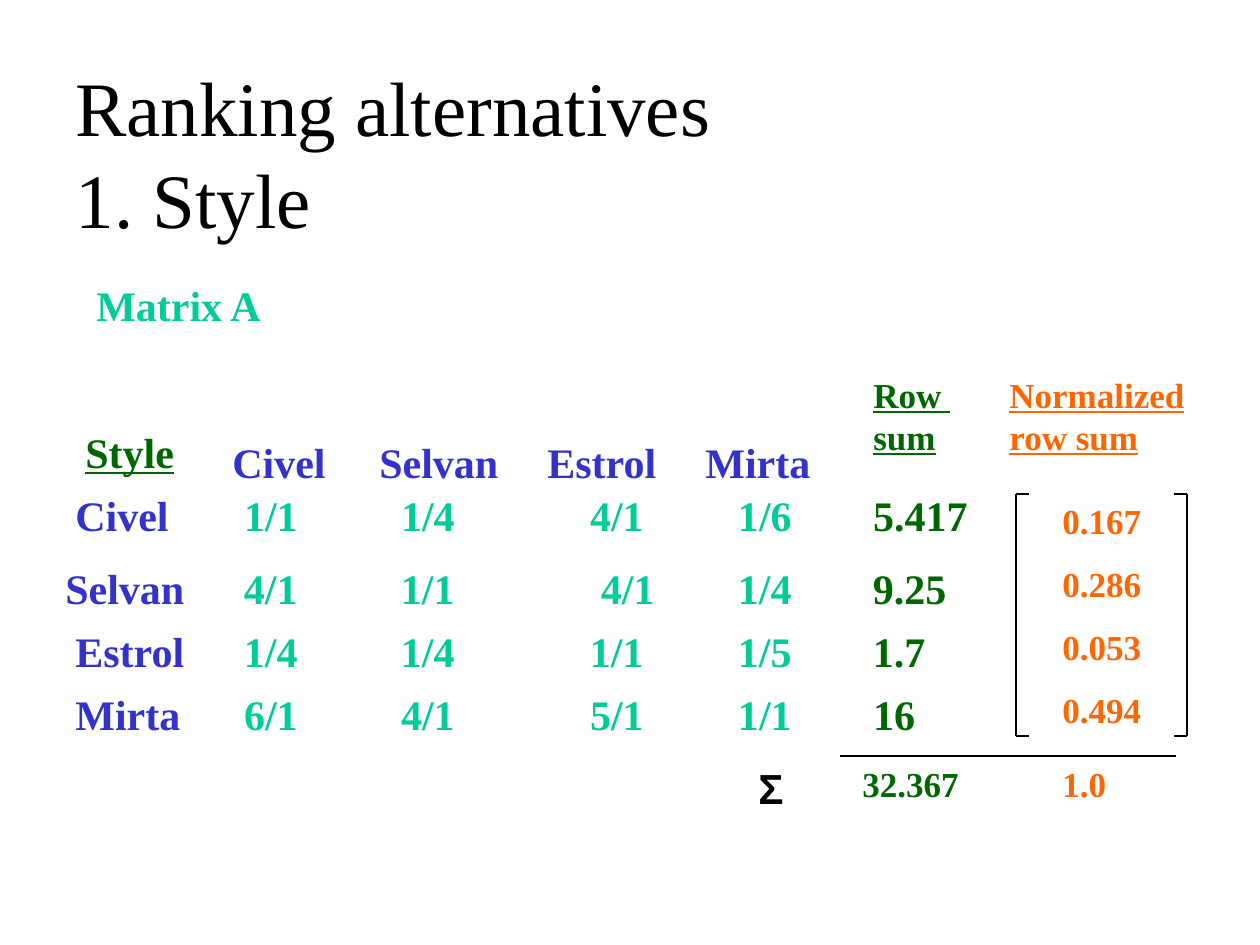
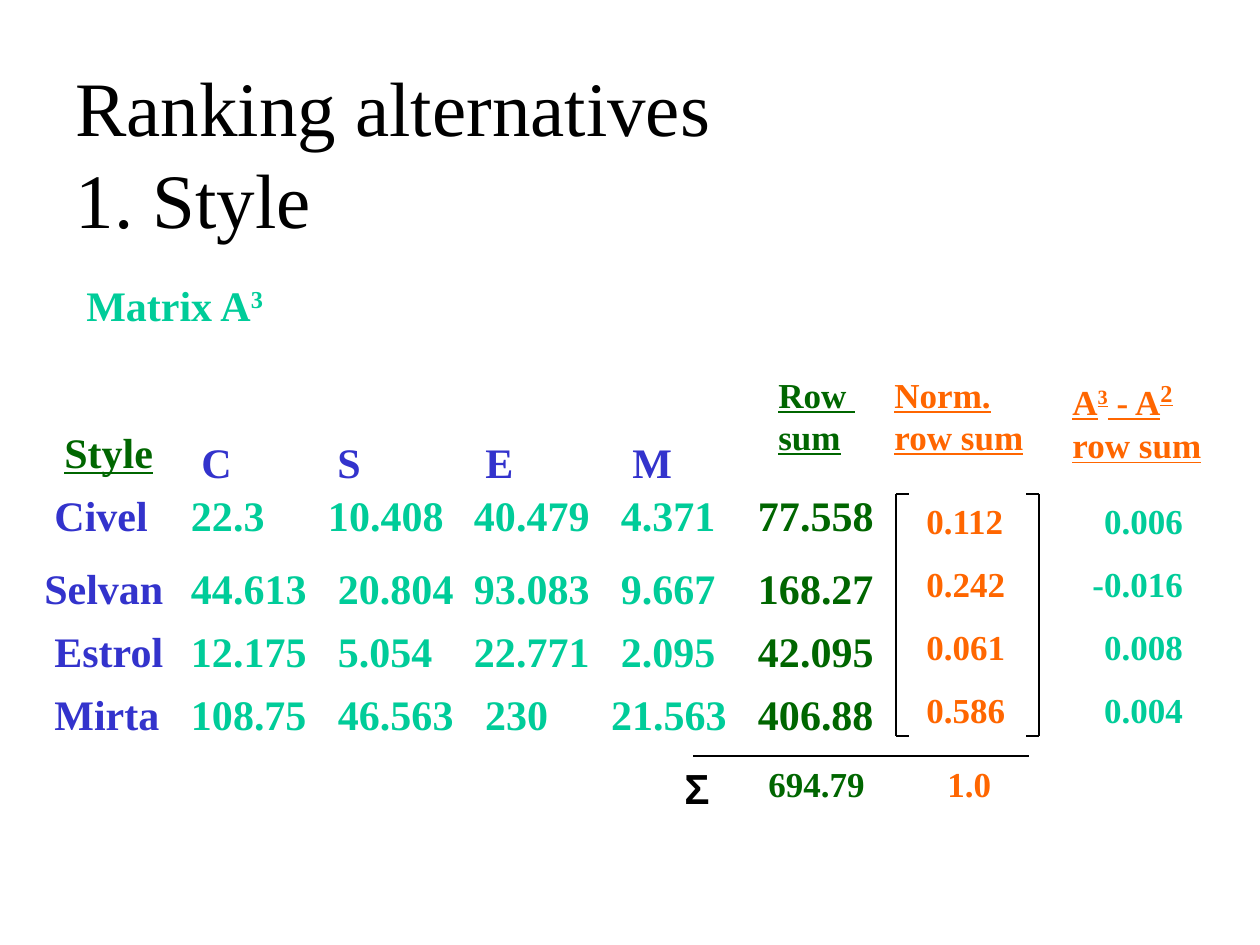
from dataclasses import dataclass

from lxml import etree
from pptx import Presentation
from pptx import util as u
from pptx.dml.color import RGBColor
from pptx.enum import shapes, text
from pptx.oxml.ns import qn

EMU_PER_PX = 914400 / 126


@dataclass(frozen=True)
class Theme:
    font: str = "Times New Roman"
    symbol_font: str = "Arial"
    black: str = "000000"
    green: str = "006600"
    blue: str = "3333CC"
    teal: str = "00CC99"
    orange: str = "FF6600"
    title: int = 44
    large: int = 24
    small: int = 20


THEME = Theme()

# Car names with the widths of their boxes
CARS = {"Civel": 118, "Selvan": 149, "Estrol": 141, "Mirta": 132}
ROW_TOPS = (483, 556, 619, 682)
ROW_WIDTHS = (788, 777, 756, 724)
HEADING_TOP = 367


def px(length):
    return u.Emu(round(length * EMU_PER_PX))


def style_run(run, color, size, bold=True, underline=False, font=THEME.font):
    run.font.name = font
    run.font.size = u.Pt(size)
    run.font.bold = bold
    run.font.underline = underline or None
    run.font.color.rgb = RGBColor.from_string(color)


def add_label(slide, box, lines, color, size=THEME.large, **style):
    """Add a text box; a part between ^ marks is set as superscript."""
    text_box = slide.shapes.add_textbox(*map(px, box))
    frame = text_box.text_frame
    frame.word_wrap = False
    frame.margin_right = 0  # room for tightly fitting words
    for index, line in enumerate(lines.split("\n")):
        paragraph = frame.paragraphs[0] if index == 0 else frame.add_paragraph()
        for position, part in enumerate(line.split("^")):
            if not part:
                continue
            run = paragraph.add_run()
            run.text = part
            style_run(run, color, size, **style)
            if position % 2:
                run.font._element.set("baseline", "30000")
    frame.auto_size = text.MSO_AUTO_SIZE.NONE
    frame.word_wrap = True
    return frame


def add_number_column(slide, left, width, values, color):
    frame = add_label(slide, (left, 493, width, 243), "\n".join(values),
                      color, THEME.small)
    for paragraph in frame.paragraphs[1:]:
        paragraph.line_spacing = 1.5
    return frame


def add_line(container, start, end):
    line = container.add_connector(
        shapes.MSO_CONNECTOR.STRAIGHT, *map(px, start + end))
    line.line.color.rgb = RGBColor.from_string(THEME.black)
    line.line.width = u.Pt(1)
    etree.SubElement(line._element.spPr, qn("a:effectLst"))


def add_brackets(slide, left, right, top=494, bottom=736, tick=13):
    group = slide.shapes.add_group_shape().shapes
    for side, inward in ((left, tick), (right, -tick)):
        add_line(group, (side, top), (side, bottom))
        for level in (top, bottom):
            add_line(group, (side, level), (side + inward, level))


def add_value_row(slide, box, values, columns):
    """One matrix row on tab stops; its last value is the row sum."""
    text_box = slide.shapes.add_textbox(*map(px, box))
    frame = text_box.text_frame
    frame.word_wrap = True
    frame.margin_left = px(columns[0] - box[0])
    paragraph = frame.paragraphs[0]
    tabs = etree.SubElement(paragraph._p.get_or_add_pPr(), qn("a:tabLst"))
    for column in columns[1:]:
        etree.SubElement(tabs, qn("a:tab"), algn="l",
                         pos=str(px(column - columns[0])))
    *cells, row_sum = values
    for content, color in (("\t".join(cells) + "\t", THEME.teal),
                           (row_sum, THEME.green)):
        run = paragraph.add_run()
        run.text = content
        style_run(run, color, THEME.large)


def add_matrix(slide, label_left, row_left, headers, rows, columns, nudges):
    """headers: (name, left, width); nudges: (row, column) -> shift."""
    for name, left, width in headers:
        add_label(slide, (left, 430, width, 63), name, THEME.blue)
    add_label(slide, (label_left + 10, 420, 113, 63), "Style", THEME.green,
              underline=True)
    for index, (name, width) in enumerate(CARS.items()):
        left = label_left - (10 if index == 1 else 0)
        add_label(slide, (left, ROW_TOPS[index], width, 63), name, THEME.blue)
        stops = [column + nudges.get((index, position), 0)
                 for position, column in enumerate(columns)]
        box = (row_left + 10.5 * index, ROW_TOPS[index], ROW_WIDTHS[index], 63)
        add_value_row(slide, box, rows[index], stops)


def add_sums(slide, sum_heading_left, norm_heading, total, norm_total_left,
             sigma_left, rule_left):
    heading, heading_left, heading_width = norm_heading
    total_value, total_left = total
    add_label(slide, (sum_heading_left, HEADING_TOP, 102, 96), "Row \nsum",
              THEME.green, THEME.small, underline=True)
    add_label(slide, (heading_left, HEADING_TOP, heading_width, 96), heading,
              THEME.orange, THEME.small, underline=True)
    add_label(slide, (total_left, 756, 121, 54), total_value,
              THEME.green, THEME.small)
    add_label(slide, (norm_total_left, 756, 69, 54), "1.0",
              THEME.orange, THEME.small)
    add_label(slide, (sigma_left, 756, 50, 63), "Σ", THEME.black,
              font=THEME.symbol_font)
    add_line(slide.shapes, (rule_left + 336, 756), (rule_left, 756))


def add_ranking_slide(presentation, matrix_name, name_box):
    slide = presentation.slides.add_slide(presentation.slide_layouts[5])
    title = slide.shapes.title
    title.left, title.top, title.width, title.height = map(
        px, (63, 42, 1071, 220))
    frame = title.text_frame
    frame.text = "Ranking alternatives\v1. Style"
    frame.vertical_anchor = text.MSO_ANCHOR.MIDDLE
    frame.auto_size = text.MSO_AUTO_SIZE.NONE
    frame.paragraphs[0].alignment = text.PP_ALIGN.LEFT
    for run in frame.paragraphs[0].runs:
        style_run(run, THEME.black, THEME.title, bold=False)
    add_label(slide, name_box, matrix_name, THEME.teal)
    return slide


def build_first_matrix(presentation):
    slide = add_ranking_slide(presentation, "Matrix A", (84, 273, 192, 63))
    lefts = (220, 367, 535, 693)
    add_matrix(
        slide, label_left=63, row_left=199,
        headers=[(name, left, CARS[name]) for name, left in zip(CARS, lefts)],
        rows=(("1/1", "1/4", "4/1", "1/6", "5.417"),
              ("4/1", "1/1", "4/1", "1/4", "9.25"),
              ("1/4", "1/4", "1/1", "1/5", "1.7"),
              ("6/1", "4/1", "5/1", "1/1", "16")),
        columns=(244, 401, 590, 738, 873), nudges={(1, 2): 11})
    add_brackets(slide, 1016, 1187)
    add_number_column(slide, 1050, 103, ("0.167", "0.286", "0.053", "0.494"),
                      THEME.orange)
    add_sums(slide, 861, ("Normalized\nrow sum", 997, 200), ("32.367", 850),
             norm_total_left=1050, sigma_left=746, rule_left=840)


def build_cubed_matrix(presentation):
    slide = add_ranking_slide(presentation, "Matrix A^3^", (74, 273, 204, 63))
    add_matrix(
        slide, label_left=42, row_left=147,
        headers=(("C", 189, 55), ("S", 325, 48), ("E", 473, 53),
                 ("M", 620, 64)),
        rows=(("22.3", "10.408", "40.479", "4.371", "77.558"),
              ("44.613", "20.804", "93.083", "9.667", "168.27"),
              ("12.175", "5.054", "22.771", "2.095", "42.095"),
              ("108.75", "46.563", "230", "21.563", "406.88")),
        columns=(191, 338, 474, 621, 758),
        nudges={(0, 1): -10, (3, 2): 11, (3, 3): -10})
    add_brackets(slide, 896, 1039)
    add_number_column(slide, 914, 103, ("0.112", "0.242", "0.061", "0.586"),
                      THEME.orange)
    add_sums(slide, 766, ("Norm.\nrow sum", 882, 155), ("694.79", 756),
             norm_total_left=935, sigma_left=672, rule_left=693)

    # Change against the squared matrix
    changes = add_number_column(
        slide, 1081, 116, ("0.006", "-0.016", "0.008", "0.004"), THEME.teal)
    changes.margin_left, changes.margin_right = 0, px(14)
    for paragraph in changes.paragraphs:
        paragraph.alignment = text.PP_ALIGN.RIGHT
    heading = add_label(slide, (1060, HEADING_TOP, 155, 105),
                        "A^3^ - A^2^\nrow sum",
                        THEME.orange, THEME.small, underline=True)
    heading.paragraphs[0].runs[-1].font.size = u.Pt(THEME.large)


def main():
    presentation = Presentation()
    presentation.slide_width, presentation.slide_height = px(1260), px(945)
    build_first_matrix(presentation)
    build_cubed_matrix(presentation)
    presentation.save("out.pptx")


if __name__ == "__main__":
    main()
